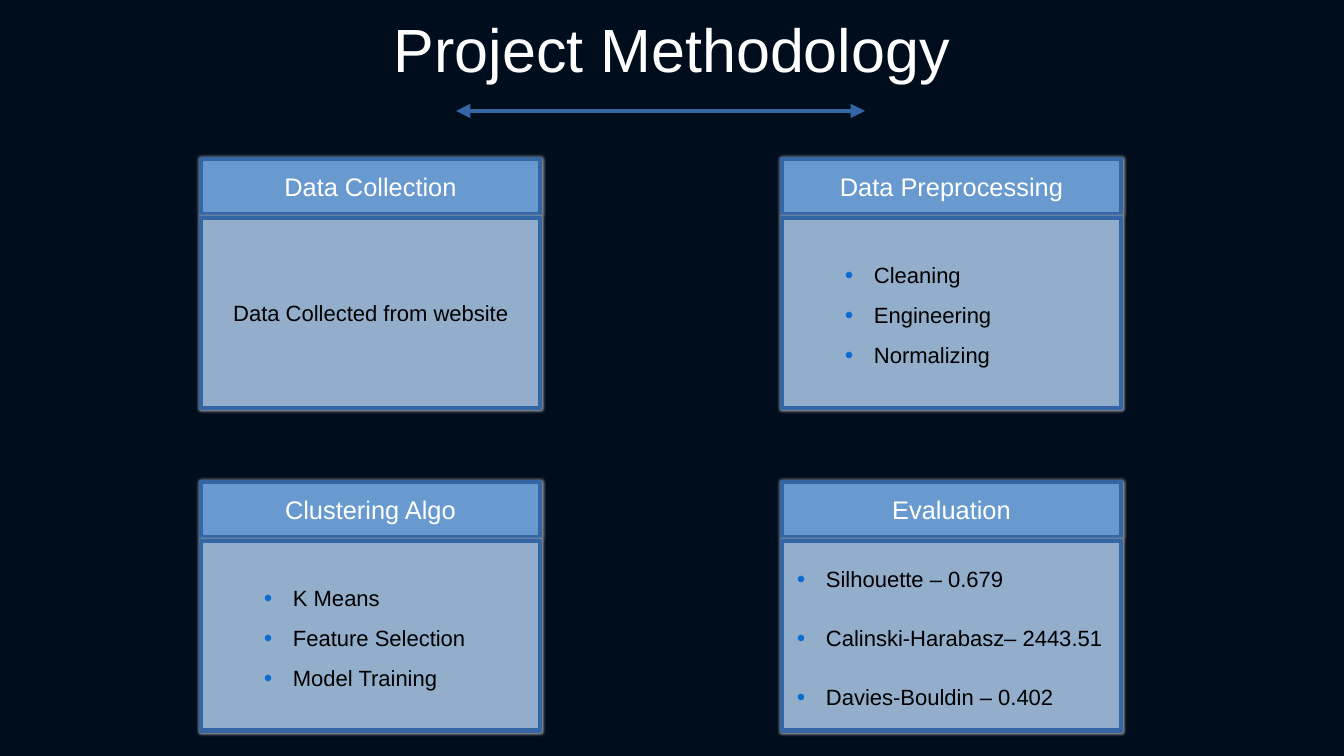
"""Build the Project Methodology slide: a title, a double arrow and four stage cards."""
from lxml.etree import SubElement
from pptx import Presentation
from pptx.dml.color import RGBColor
from pptx.enum.shapes import MSO_CONNECTOR, MSO_SHAPE
from pptx.enum.text import MSO_ANCHOR, PP_ALIGN
from pptx.oxml.ns import qn
from pptx.util import Pt

TITLE = "Project Methodology"
CARDS = [
    {"heading": "Data Collection", "lines": ["Data Collected from website"]},
    {"heading": "Data Preprocessing", "lines": ["Cleaning", "Engineering", "Normalizing"],
     "indent": 77, "spacing": 2.8},
    {"heading": "Clustering Algo", "lines": ["K Means", "Feature Selection", "Model Training"],
     "indent": 77, "spacing": 2.8},
    {"heading": "Evaluation",
     "lines": ["Silhouette – 0.679", "Calinski-Harabasz– 2443.51", "Davies-Bouldin – 0.402"],
     "indent": 29, "spacing": 8.5},
]

PX = 914400 // 122
SLIDE_WIDTH, SLIDE_HEIGHT = 1344, 756
TITLE_HEIGHT = 96
ARROW_LEFT, ARROW_RIGHT, ARROW_Y = 456, 865, 111
COLUMNS, CARD_LEFT, CARD_TOP = 2, 201, 159
COLUMN_STEP, ROW_STEP = 581, 323
CARD_WIDTH, HEADING_HEIGHT, BODY_OFFSET, BODY_HEIGHT = 339, 55, 59, 190
INSET_X, INSET_Y, HANGING, HALO = 15, 9, 29, 3
LINE_WIDTH = Pt(2.83)
FONT = "Arial"

NAVY = RGBColor(0x00, 0x0D, 0x1D)
WHITE = RGBColor(0xFF, 0xFF, 0xFF)
BLACK = RGBColor(0x00, 0x00, 0x00)
EDGE = RGBColor(0x34, 0x65, 0xA4)
HEADING_FILL = RGBColor(0x68, 0x9A, 0xD0)
BODY_FILL = RGBColor(0x93, 0xAE, 0xCB)
BULLET = RGBColor(0x0D, 0x6C, 0xD3)
HALO_GREY = RGBColor(0xA0, 0xA0, 0xA0)


def add(parent, tag, **attributes):
    return SubElement(parent, qn(tag), {key: str(value) for key, value in attributes.items()})


def write(shape, lines, size, color, inset_x=0, inset_y=0):
    frame = shape.text_frame
    frame.text = "\n".join(lines)
    frame.word_wrap = True
    frame.vertical_anchor = MSO_ANCHOR.MIDDLE
    frame.margin_left = frame.margin_right = inset_x * PX
    frame.margin_top = frame.margin_bottom = inset_y * PX
    for paragraph in frame.paragraphs:
        paragraph.alignment = PP_ALIGN.CENTER
        for run in paragraph.runs:
            run.font.name = FONT
            run.font.size = Pt(size)
            run.font.color.rgb = color


def add_bullets(shape, indent, spacing):
    for paragraph in shape.text_frame.paragraphs:
        paragraph.alignment = PP_ALIGN.JUSTIFY
        paragraph.line_spacing = 1.15
        paragraph.space_before = paragraph.space_after = Pt(spacing)
        properties = paragraph._p.get_or_add_pPr()
        properties.set("marL", str(indent * PX))
        properties.set("indent", str(-HANGING * PX))
        add(add(properties, "a:buClr"), "a:srgbClr", val=BULLET)
        add(properties, "a:buSzPct", val=110000)
        add(properties, "a:buFont", typeface=FONT)
        add(properties, "a:buChar", char="•")


def add_panel(slide, left, top, height, fill):
    box = [length * PX for length in (left, top, CARD_WIDTH, height)]
    shape = slide.shapes.add_shape(MSO_SHAPE.RECTANGLE, *box)
    shape.fill.solid()
    shape.fill.fore_color.rgb = fill
    shape.line.color.rgb = EDGE
    shape.line.width = LINE_WIDTH
    shape.shadow.inherit = False
    effects = shape._element.spPr.find(qn("a:effectLst"))
    halo = add(effects, "a:outerShdw", blurRad=HALO * PX, dist=0, algn="ctr", rotWithShape=0)
    add(halo, "a:srgbClr", val=HALO_GREY)
    return shape


def add_card(slide, card, left, top):
    heading = add_panel(slide, left, top, HEADING_HEIGHT, HEADING_FILL)
    write(heading, [card["heading"]], 15, WHITE, INSET_X, INSET_Y)
    body = add_panel(slide, left, top + BODY_OFFSET, BODY_HEIGHT, BODY_FILL)
    write(body, card["lines"], 13, BLACK, INSET_X, INSET_Y)
    if "indent" in card:
        add_bullets(body, card["indent"], card["spacing"])


def add_arrow(slide):
    ends = [length * PX for length in (ARROW_LEFT, ARROW_Y, ARROW_RIGHT, ARROW_Y)]
    arrow = slide.shapes.add_connector(MSO_CONNECTOR.STRAIGHT, *ends)
    arrow.line.color.rgb = EDGE
    arrow.line.width = LINE_WIDTH
    line = arrow.line._get_or_add_ln()
    add(line, "a:headEnd", type="triangle")
    add(line, "a:tailEnd", type="triangle")
    add(arrow._element.spPr, "a:effectLst")


def main():
    presentation = Presentation()
    presentation.slide_width = SLIDE_WIDTH * PX
    presentation.slide_height = SLIDE_HEIGHT * PX
    slide = presentation.slides.add_slide(presentation.slide_layouts[6])
    slide.background.fill.solid()
    slide.background.fill.fore_color.rgb = NAVY

    title = slide.shapes.add_textbox(0, 0, SLIDE_WIDTH * PX, TITLE_HEIGHT * PX)
    write(title, [TITLE], 36, WHITE)
    add_arrow(slide)
    for index, card in enumerate(CARDS):
        row, column = divmod(index, COLUMNS)
        add_card(slide, card, CARD_LEFT + column * COLUMN_STEP, CARD_TOP + row * ROW_STEP)

    presentation.save("out.pptx")


if __name__ == "__main__":
    main()
